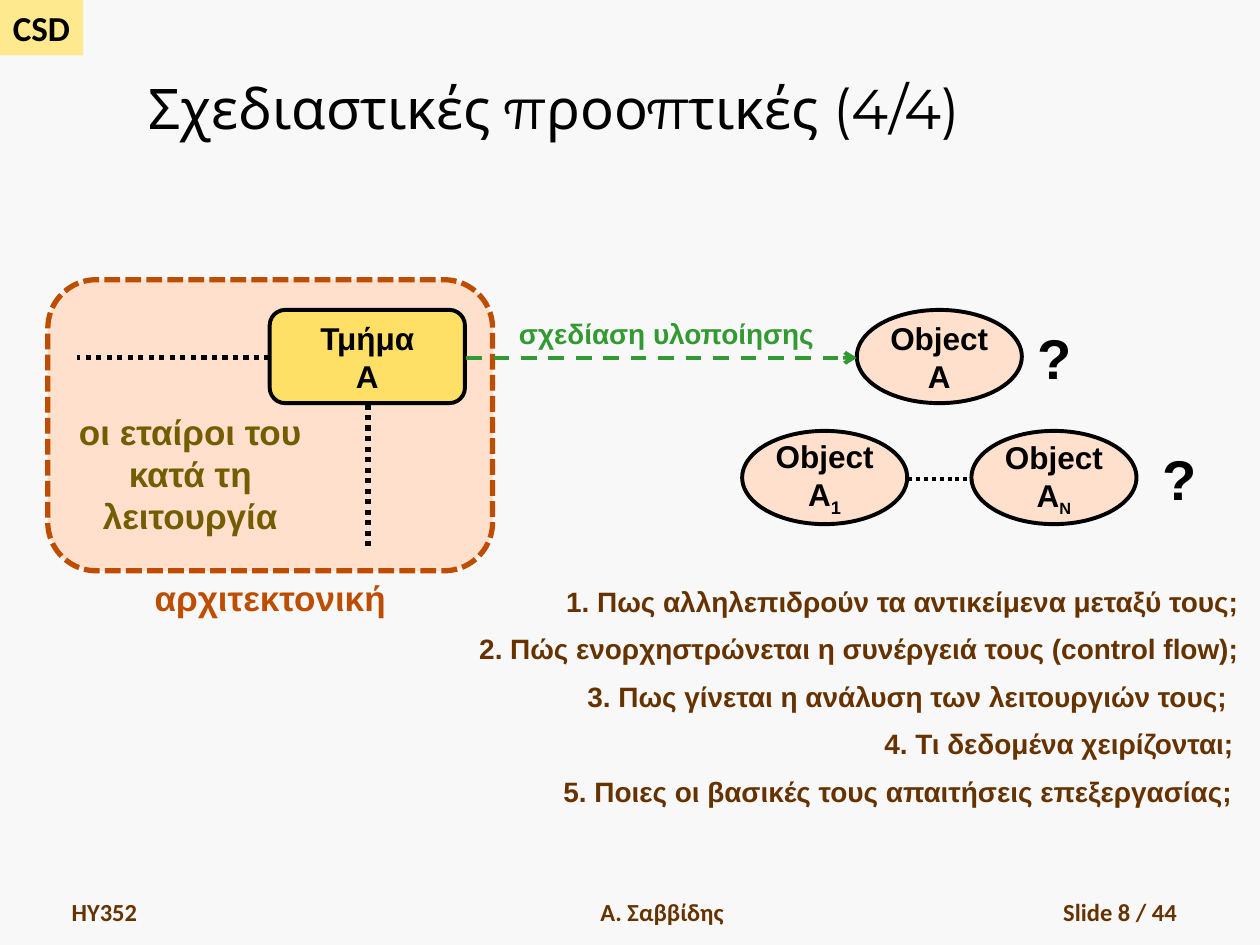
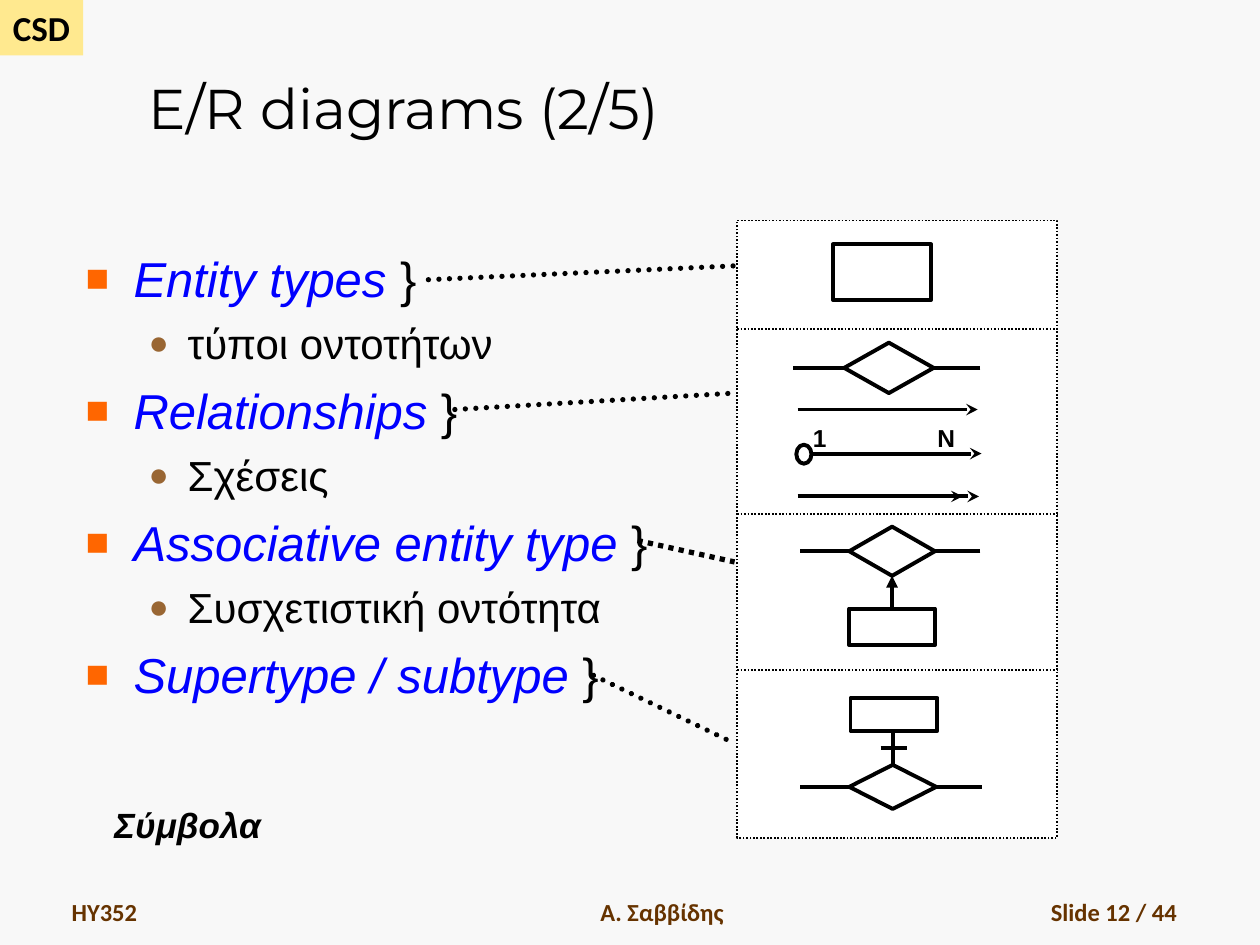
from dataclasses import dataclass

from lxml import etree
from pptx import Presentation
from pptx import util as u
from pptx.dml.color import RGBColor
from pptx.enum import dml, shapes, text
from pptx.oxml import ns

LEFT, CENTER, RIGHT = text.PP_ALIGN.LEFT, text.PP_ALIGN.CENTER, text.PP_ALIGN.RIGHT
TOP, MIDDLE, BOTTOM = (text.MSO_ANCHOR.TOP, text.MSO_ANCHOR.MIDDLE,
                       text.MSO_ANCHOR.BOTTOM)
SHAPE = shapes.MSO_SHAPE
DOTS, SHORT_DASH, DASH = (dml.MSO_LINE.ROUND_DOT, dml.MSO_LINE.SQUARE_DOT,
                          dml.MSO_LINE.DASH)


@dataclass(frozen=True)
class Theme:
    page: str = "F8F8F8"
    ink: str = "000000"
    white: str = "FFFFFF"
    badge: str = "FFE98F"
    brown: str = "663300"
    peach: str = "FFE0CC"
    rust: str = "BF4D00"
    yellow: str = "FFE066"
    olive: str = "745C00"
    green: str = "339933"
    blue: str = "0000FF"
    orange: str = "FF6600"
    tan: str = "996633"
    title_font: str = "Montserrat"
    body_font: str = "Arial"
    footer_font: str = "Calibri"
    title: int = 32
    topic: int = 28
    subtopic: int = 24
    heading: int = 20
    label: int = 18
    note: int = 16
    small: int = 14
    thin: float = 1
    medium: float = 2.25
    thick: float = 3


THEME = Theme()


def rgb(color):
    return RGBColor.from_string(color)


def add_xml(parent, tag, **attributes):
    return etree.SubElement(parent, ns.qn(tag), attributes)


def add_span(para, words, *, size=THEME.label, color=THEME.ink,
             font=THEME.body_font, bold=False, italic=False, baseline=0):
    span = para.add_run()
    span.text = words
    span.font.name = font
    span.font.size = u.Pt(size)
    span.font.bold = bold
    span.font.italic = italic
    span.font.color.rgb = rgb(color)
    if baseline:
        span.font._element.set("baseline", str(baseline * 1000))


def write(frame, paras, *, align=CENTER, anchor=TOP, wrap=False, **style):
    """Fill a frame; each paragraph is a string or a list of (words, style)."""
    frame.word_wrap = wrap
    frame.auto_size = text.MSO_AUTO_SIZE.NONE
    frame.vertical_anchor = anchor
    for number, spans in enumerate(paras):
        para = frame.add_paragraph() if number else frame.paragraphs[0]
        para.alignment = align
        if isinstance(spans, str):
            spans = [(spans, {})]
        for words, extra in spans:
            add_span(para, words, **{**style, **extra})


def place(item, left, top, width, height):
    item.left, item.top = u.Inches(left), u.Inches(top)
    item.width, item.height = u.Inches(width), u.Inches(height)


class SlideBuilder:
    def __init__(self, deck, theme):
        self.deck, self.theme, self.page = deck, theme, None
        fill = deck.slide_master.background.fill
        fill.solid()
        fill.fore_color.rgb = rgb(theme.page)

    def start(self, title, number, layout):
        """Open a slide with its badge, title and footers."""
        theme = self.theme
        self.page = self.deck.slides.add_slide(self.deck.slide_layouts[layout])
        self.shape(SHAPE.RECTANGLE, 0, 0, 0.66, 0.44, fill=theme.badge, line=None,
                   paras=["CSD"], size=theme.heading, font=theme.footer_font)
        heading = self.page.shapes.title
        place(heading, 1.08, 0.17, 8.92, 1)
        write(heading.text_frame, [title], align=LEFT, anchor=BOTTOM, wrap=True,
              size=theme.title, font=theme.title_font)
        footers = [("HY352", 0.47, 2.19, LEFT),
                   ("Α. Σαββίδης", 3.67, 3.17, CENTER),
                   (f"Slide {number} / 44", 7.36, 2.08, RIGHT)]
        for words, left, width, align in footers:
            self.label(words, left, 6.9, width, 0.5, align=align, anchor=BOTTOM,
                       wrap=True, size=theme.small, color=theme.brown,
                       font=theme.footer_font)

    def label(self, words, left, top, width, height, **style):
        box = self.page.shapes.add_textbox(
            *map(u.Inches, (left, top, width, height)))
        write(box.text_frame, [words], **{"bold": True, **style})

    def shape(self, kind, left, top, width, height, *, fill=THEME.white,
              line=THEME.ink, weight=THEME.medium, dash=None, paras=(), **style):
        box = self.page.shapes.add_shape(
            kind, *map(u.Inches, (left, top, width, height)))
        box.shadow.inherit = False
        box.fill.solid()
        box.fill.fore_color.rgb = rgb(fill)
        if line:
            box.line.color.rgb = rgb(line)
            box.line.width = u.Pt(weight)
            if dash:
                box.line.dash_style = dash
        else:
            box.line.fill.background()
        write(box.text_frame, paras, anchor=MIDDLE, bold=True, **style)

    def line(self, x1, y1, x2, y2, *, color=THEME.ink, weight=THEME.medium,
             dash=None, arrow=None, round_cap=False):
        link = self.page.shapes.add_connector(
            shapes.MSO_CONNECTOR.STRAIGHT, *map(u.Inches, (x1, y1, x2, y2)))
        link.line.color.rgb = rgb(color)
        link.line.width = u.Pt(weight)
        if dash:
            link.line.dash_style = dash
        outline = link.get_or_add_ln()
        if round_cap:
            outline.set("cap", "rnd")
        if arrow:
            add_xml(outline, "a:tailEnd", type=arrow)
        add_xml(link._element.spPr, "a:effectLst")

    def diamond(self, left, top, width, height, start, end):
        """Draw a diamond with a line out of each side, from start to end."""
        self.shape(SHAPE.DIAMOND, left, top, width, height)
        middle = top + height / 2
        self.line(left, middle, start, middle)
        self.line(end, middle, left + width, middle)

    def bullets(self, items, left, top, width, height):
        """Fill the body placeholder with (level, spans) items."""
        theme = self.theme
        levels = [(theme.topic, 0.38, 0.38, 7, "■", theme.orange),
                  (theme.subtopic, 0.81, 0.31, 6, "●", theme.tan)]
        body = self.page.placeholders[1]
        place(body, left, top, width, height)
        frame = body.text_frame
        write(frame, [[(words, {"size": levels[level][0], **extra})
                       for words, extra in spans] for level, spans in items],
              align=LEFT, wrap=True)
        for number, (para, (level, _)) in enumerate(zip(frame.paragraphs, items)):
            _, margin, hang, gap, mark, color = levels[level]
            para.level = level
            para.space_before = u.Pt(gap if number else 0)
            props = para._p.get_or_add_pPr()
            props.set("marL", str(u.Inches(margin)))
            props.set("indent", str(-u.Inches(hang)))
            add_xml(add_xml(props, "a:buClr"), "a:srgbClr", val=color)
            add_xml(props, "a:buSzPct", val="80000")
            add_xml(props, "a:buFont", typeface=theme.body_font)
            add_xml(props, "a:buChar", char=mark)


def build_design_views(slide):
    theme = slide.theme
    slide.start("Σχεδιαστικές προοπτικές (4/4)", 8, layout=5)

    slide.shape(SHAPE.ROUNDED_RECTANGLE, 0.38, 2.22, 3.53, 2.31, fill=theme.peach,
                line=theme.rust, weight=theme.thick, dash=SHORT_DASH)
    slide.shape(SHAPE.ROUNDED_RECTANGLE, 2.14, 2.46, 1.55, 0.74, fill=theme.yellow,
                paras=["Τμήμα", "Α"])
    slide.label("αρχιτεκτονική", 1.12, 4.53, 2.05, 0.44,
                size=theme.heading, color=theme.rust)
    for ends in [(2.14, 2.84, 0.61, 2.84), (2.92, 3.21, 2.92, 4.33)]:
        slide.line(*ends, weight=theme.thick, dash=DOTS)
    slide.label("οι εταίροι του κατά τη λειτουργία", 0.27, 3.21, 2.48, 1.11,
                wrap=True, size=theme.heading, color=theme.olive)

    objects = [(6.8, 2.46, []),
               (5.89, 3.42, [("1", {"baseline": -25})]),
               (7.71, 3.42, [("N", {"baseline": -25, "size": theme.note})])]
    for left, top, index in objects:
        slide.shape(SHAPE.OVAL, left, top, 1.31, 0.74, fill=theme.peach,
                    paras=["Object", [("Α", {}), *index]])
    slide.line(7.21, 3.8, 7.71, 3.8, dash=DOTS)
    slide.line(3.7, 2.84, 6.8, 2.84, color=theme.green, dash=DASH, arrow="arrow")
    slide.label("σχεδίαση υλοποίησης", 4, 2.46, 2.58, 0.37,
                size=theme.note, color=theme.green)
    for left, top in [(8.13, 2.52), (9.12, 3.48)]:
        slide.label("?", left, top, 0.48, 0.64, size=theme.title)

    questions = [
        ("Πως αλληλεπιδρούν τα αντικείμενα μεταξύ τους;", 4.36, 9.93),
        ("Πώς ενορχηστρώνεται η συνέργειά τους (control flow);", 3.66, 9.93),
        ("Πως γίνεται η ανάλυση των λειτουργιών τους;", 4.56, 9.84),
        ("Τι δεδομένα χειρίζονται;", 6.92, 9.89),
        ("Ποιες οι βασικές τους απαιτήσεις επεξεργασίας;", 4.17, 9.88)]
    for row, (question, left, right) in enumerate(questions):
        slide.label(f"{row + 1}. {question}", left, 4.59 + 0.377 * row,
                    right - left, 0.37, align=RIGHT, size=theme.note,
                    color=theme.brown)


def build_er_symbols(slide):
    theme = slide.theme
    slide.start("E/R diagrams (2/5)", 12, layout=1)

    slide.shape(SHAPE.RECTANGLE, 5.85, 1.75, 2.54, 4.9,
                weight=theme.thin, dash=DOTS)
    for divider in (2.61, 4.08, 5.32):
        slide.line(5.85, divider, 8.39, divider, weight=theme.thin, dash=DOTS)

    terms = [("Entity types", "τύποι οντοτήτων"),
             ("Relationships", "Σχέσεις"),
             ("Associative entity type", "Συσχετιστική οντότητα"),
             ("Supertype / subtype", None)]
    items = []
    for term, translation in terms:
        items.append((0, [(term, {"color": theme.blue, "italic": True}),
                          (" }", {})]))
        if translation:
            items.append((1, [(translation, {})]))
    slide.bullets(items, 0.58, 1.92, 5, 4.8)

    # Entity type
    slide.shape(SHAPE.RECTANGLE, 6.61, 1.94, 0.78, 0.44)

    # Relationships
    slide.diamond(6.7, 2.72, 0.71, 0.4, 6.29, 7.78)
    for start, end, y in [(6.33, 7.76, 3.25), (6.39, 7.79, 3.6),
                          (6.46, 7.77, 3.94), (6.33, 7.64, 3.94)]:
        slide.line(start, y, end, y, arrow="stealth")
    slide.shape(SHAPE.OVAL, 6.32, 3.53, 0.12, 0.15)
    for count, left, width in [("1", 6.35, 0.31), ("N", 7.34, 0.34)]:
        slide.label(count, left, 3.31, width, 0.33, size=theme.small)

    # Associative entity type
    slide.diamond(6.74, 4.18, 0.68, 0.39, 6.35, 7.78)
    slide.shape(SHAPE.RECTANGLE, 6.74, 4.83, 0.68, 0.29)
    slide.line(7.08, 4.83, 7.08, 4.57, arrow="triangle")

    # Supertype and subtype
    slide.diamond(6.74, 6.07, 0.69, 0.35, 6.35, 7.79)
    slide.shape(SHAPE.RECTANGLE, 6.75, 5.54, 0.69, 0.26)
    slide.line(7.09, 6.08, 7.09, 5.8)
    slide.line(6.99, 5.94, 7.2, 5.94)

    leaders = [(3.4, 2.22, 2.11, True), (3.61, 3.25, 3.12, True),
               (5.06, 4.29, 4.46, False), (4.71, 5.36, 5.9, True)]
    for x, y, end_y, round_cap in leaders:
        slide.line(x, y, 5.83, end_y, weight=theme.thick, dash=DOTS,
                   round_cap=round_cap)
    slide.label("Σύμβολα", 0.81, 6.33, 1.36, 0.43, size=theme.heading, italic=True)


def main():
    deck = Presentation()
    deck.slide_width, deck.slide_height = u.Inches(10), u.Inches(7.5)
    slide = SlideBuilder(deck, THEME)
    build_design_views(slide)
    build_er_symbols(slide)
    deck.save("out.pptx")


if __name__ == "__main__":
    main()
